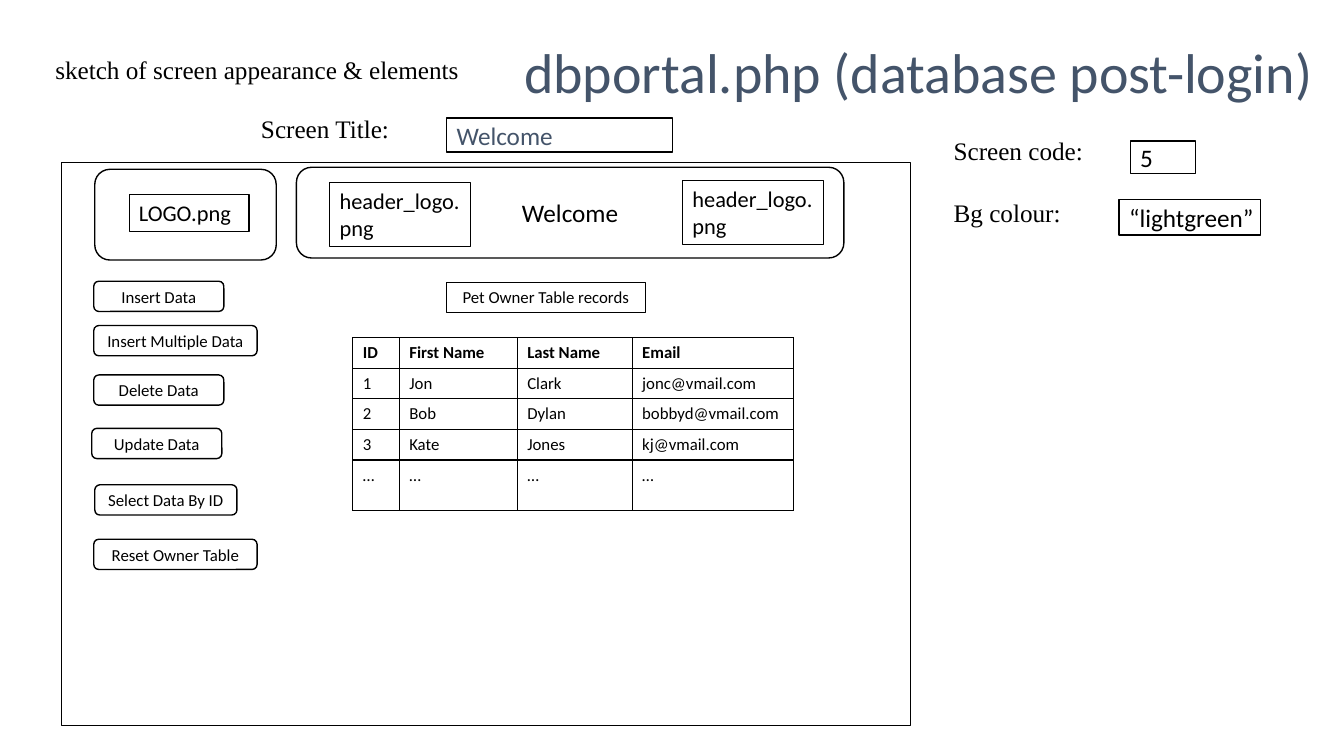
from dataclasses import dataclass

from lxml.etree import SubElement
from pptx import Presentation
from pptx.dml.color import RGBColor as RGB
from pptx.enum.shapes import MSO_SHAPE as SHAPE
from pptx.enum.text import MSO_ANCHOR as ANCHOR, PP_ALIGN as ALIGN
from pptx.oxml.ns import qn
from pptx.util import Inches, Pt


@dataclass(frozen=True)
class Theme:
    ink: RGB = RGB(0x00, 0x00, 0x00)
    slate: RGB = RGB(0x44, 0x54, 0x6A)
    paper: RGB = RGB(0xFF, 0xFF, 0xFF)
    body: str = "Calibri"
    note: str = "Times New Roman"
    title: int = 40
    label: int = 18
    image: int = 16
    small: int = 12
    line: float = 1
    thin: float = 0.75


THEME = Theme()
RECT, ROUND = SHAPE.RECTANGLE, SHAPE.ROUNDED_RECTANGLE


def apply(target, formats):
    for name, value in formats.items():
        setattr(target, name, value)


def write(frame, lines, size, font=THEME.body, color=THEME.ink,
          align=ALIGN.LEFT, anchor=ANCHOR.TOP, wrap=True, gap=0):
    """Fill a text frame, one paragraph per line, with a gap between them."""
    apply(frame, {"word_wrap": wrap, "vertical_anchor": anchor})
    for index, line in enumerate(lines):
        para = frame.add_paragraph() if index else frame.paragraphs[0]
        apply(para, {"alignment": align, "space_before": Pt(gap if index else 0)})
        run = para.add_run()
        run.text = line
        apply(run.font, {"size": Pt(size), "name": font})
        run.font.color.rgb = color


def place(box, left, top, width, height):
    """Convert a position inside a box to slide lengths."""
    return [Inches(v) for v in (box[0] + left, box[1] + top, width, height)]


def add_label(shapes, at, lines, size=THEME.label, **style):
    write(shapes.add_textbox(*at).text_frame, lines, size, wrap=False, **style)


def add_box(shapes, at, text="", kind=RECT, size=THEME.label, line=THEME.line,
            filled=False, **style):
    shape = shapes.add_shape(kind, *at)
    shape.shadow.inherit = False
    if filled:
        shape.fill.solid()
        shape.fill.fore_color.rgb = THEME.paper
    else:
        shape.fill.background()
    shape.line.color.rgb = THEME.ink
    shape.line.width = Pt(line)
    if text:
        write(shape.text_frame, [text], size, **style)


FIELD = {"anchor": ANCHOR.MIDDLE, "wrap": False}
PANEL = {"kind": ROUND, "filled": True, "anchor": ANCHOR.MIDDLE, "align": ALIGN.CENTER}


# Captions above the sketch
def add_captions(shapes, box):
    add_label(shapes, place(box, 2.04, 0.76, 1.48, 0.4), ["Screen Title:"], font=THEME.note)
    add_label(shapes, place(box, 0, 0.17, 4.25, 0.4),
              ["sketch of screen appearance & elements"], font=THEME.note)
    add_box(shapes, place(box, 3.98, 0.85, 2.24, 0.34), "Welcome", color=THEME.slate, **FIELD)
    add_label(shapes, place(box, 4.65, 0, 8.11, 0.77),
              ["dbportal.php (database post-login)"], THEME.title, color=THEME.slate)


# Logo panel and welcome banner
def add_header(shapes, box):
    add_box(shapes, place(box, 0, 0.02, 1.8, 0.9), **PANEL)
    add_box(shapes, place(box, 2, 0, 5.43, 0.9), "Welcome", **PANEL)
    for text, *spot in (("LOGO.png", 0.34, 0.27, 1.19, 0.37),
                        ("header_logo.png", 2.33, 0.15, 1.4, 0.64),
                        ("header_logo.png", 5.83, 0.13, 1.4, 0.64)):
        add_box(shapes, place(box, *spot), text, size=THEME.image, line=THEME.thin)


# Column of action buttons
def add_buttons(shapes, box):
    for text, left, top, width in (("Insert Data", 0.02, 0, 1.29),
                                   ("Insert Multiple Data", 0.02, 0.44, 1.62),
                                   ("Delete Data", 0.02, 0.93, 1.29),
                                   ("Update Data", 0, 1.46, 1.29),
                                   ("Select Data By ID", 0.03, 2.02, 1.41),
                                   ("Reset Owner Table", 0.02, 2.56, 1.62)):
        add_box(shapes, place(box, left, top, width, 0.3), text, size=THEME.small, **PANEL)


def add_borders(cell):
    props = cell._tc.get_or_add_tcPr()
    for side in ("lnL", "lnR", "lnT", "lnB"):
        edge = SubElement(props, qn(f"a:{side}"), w=str(Pt(THEME.line)))
        fill = SubElement(edge, qn("a:solidFill"))
        SubElement(fill, qn("a:srgbClr"), val=str(THEME.ink))


# Records heading and table
def add_records(shapes, box):
    add_box(shapes, place(box, 0.93, 0, 1.97, 0.3), "Pet Owner Table records",
            size=THEME.small, line=THEME.thin, align=ALIGN.CENTER)
    records = (("ID", "First Name", "Last Name", "Email"),
               ("1", "Jon", "Clark", "jonc@vmail.com"),
               ("2", "Bob", "Dylan", "bobbyd@vmail.com"),
               ("3", "Kate", "Jones", "kj@vmail.com"),
               ("…",) * 4)
    widths, heights = (0.46, 1.17, 1.14, 1.6), (0.3,) * 4 + (0.5,)
    table = shapes.add_table(len(records), len(widths), *place(
        box, 0, 0.55, sum(widths), sum(heights))).table
    apply(table, {"first_row": False, "horz_banding": False})
    for column, width in zip(table.columns, widths):
        column.width = Inches(width)
    for row, height, record in zip(table.rows, heights, records):
        row.height = Inches(height)
        for cell, value in zip(row.cells, record):
            add_borders(cell)
            cell.fill.solid()
            cell.fill.fore_color.rgb = THEME.paper
            write(cell.text_frame, [value], THEME.small)
            cell.text_frame.paragraphs[0].runs[0].font.bold = record is records[0]


# Screen sketch: frame and its contents
def add_sketch(shapes, box):
    left, top, width, height = box
    add_box(shapes, place(box, 0, 0, width, height))
    add_header(shapes, (left + 0.33, top + 0.05))
    add_buttons(shapes, (left + 0.3, top + 1.18))
    add_records(shapes, (left + 2.89, top + 1.19))


# Screen code and background colour
def add_settings(shapes, box):
    group = shapes.add_group_shape().shapes
    add_label(group, place(box, 0, 0, 1.5, 1.31), ["Screen code:", "Bg colour:"],
              font=THEME.note, gap=23)
    add_box(group, place(box, 1.85, 0.11, 0.65, 0.32), "5", **FIELD)
    add_box(group, place(box, 1.74, 0.69, 1.4, 0.35), "“lightgreen”", **FIELD)


deck = Presentation()
apply(deck, {"slide_width": Inches(13.33), "slide_height": Inches(7.5)})
canvas = deck.slides.add_slide(deck.slide_layouts[6]).shapes
add_sketch(canvas, (0.61, 1.61, 8.42, 5.59))
add_captions(canvas, (0.45, 0.32))
add_settings(canvas, (9.36, 1.29))
deck.save("out.pptx")
